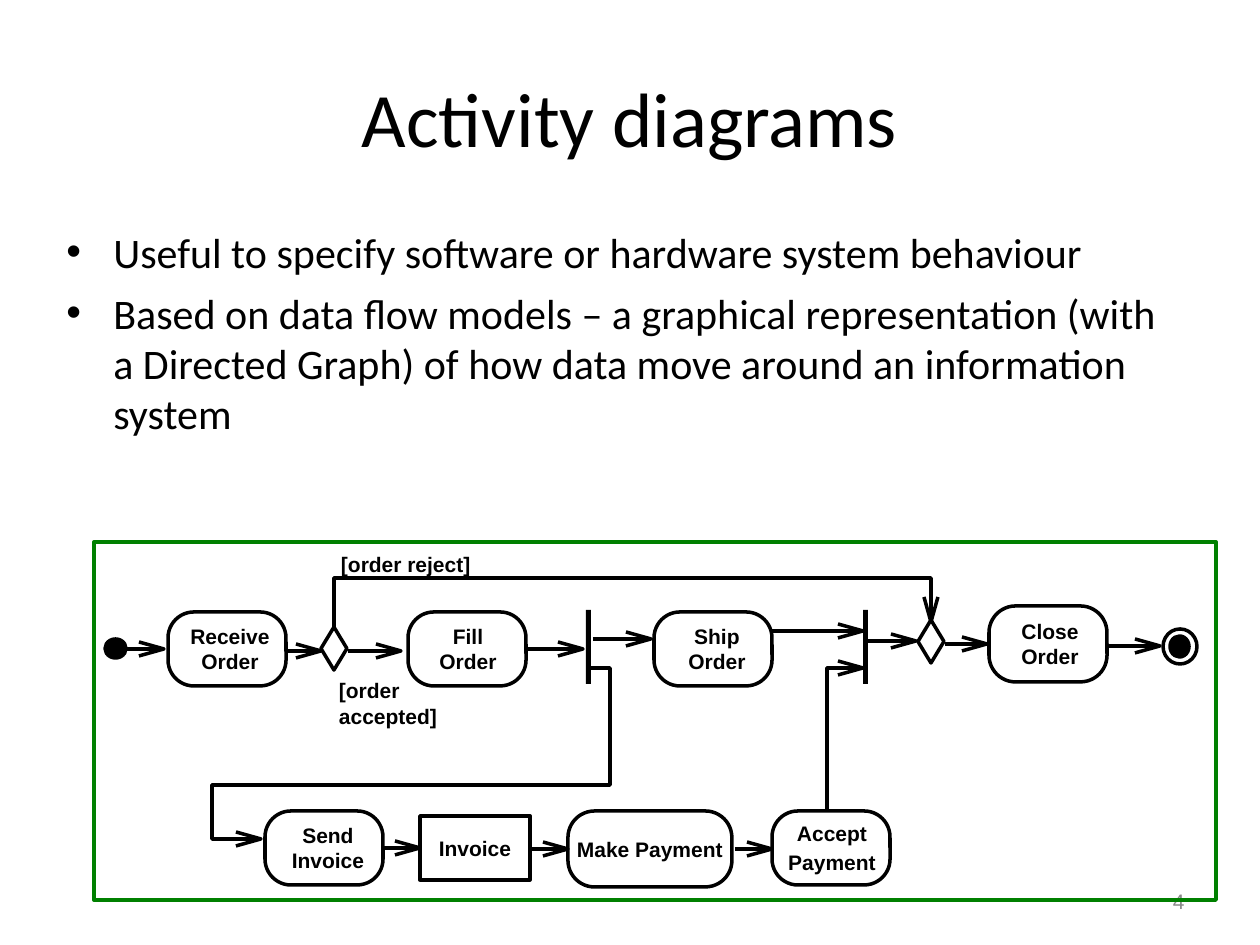
import pptx
import pptx.dml.color
import pptx.enum.shapes
import pptx.enum.text
import pptx.oxml.ns
import pptx.util
import lxml.etree

SCALE = 914400 / 126
SHAPE = pptx.enum.shapes.MSO_SHAPE
ALIGN = pptx.enum.text.PP_ALIGN
ANCHOR = pptx.enum.text.MSO_ANCHOR
BLACK, GREEN, GREY = "000000", "008000", "898989"
LINE_WIDTH = 2
HEAD_LENGTH, HEAD_HALF = 25, 7

LABEL = {"size": pptx.util.Pt(12), "name": "Arial", "bold": True}
TITLE = {"size": pptx.util.Pt(44), "name": "Calibri"}
BODY = {"size": pptx.util.Pt(24), "name": "Calibri"}
NUMBER = {"size": pptx.util.Pt(12), "name": "Arial"}

ACTIVITIES = [
    (SHAPE.ROUNDED_RECTANGLE, (74, 70, 118, 74), ["Receive", "Order"], 3, 0),
    (SHAPE.ROUNDED_RECTANGLE, (314, 70, 118, 74), ["Fill", "Order"], 1, 0),
    (SHAPE.ROUNDED_RECTANGLE, (560, 70, 118, 74), ["Ship", "Order"], 4, 0),
    (SHAPE.ROUNDED_RECTANGLE, (895, 64, 118, 76), ["Close", "Order"], 2, 0),
    (SHAPE.ROUNDED_RECTANGLE, (171, 269, 118, 74), ["Send", "Invoice"], 4, 0),
    (SHAPE.RECTANGLE, (326, 274, 110, 64), ["Invoice"], 0, 0),
    (SHAPE.ROUNDED_RECTANGLE, (474, 269, 164, 76), ["Make Payment"], 0, 0),
    (SHAPE.ROUNDED_RECTANGLE, (678, 269, 118, 74), ["Accept", "Payment"], 1, 2),
]
DECISIONS = [(227, 85, 26, 43), (824, 78, 26, 43)]
BARS = [(492, 68, 5, 74), (769, 68, 5, 74)]
GUARDS = [((247, 10, 130, 25), ["[order reject]"]),
          ((245, 136, 100, 50), ["[order", "accepted]"])]
STRAIGHT_FLOWS = [
    (31, 70, 107), (191, 227, 109), (254, 307, 109), (431, 489, 107),
    (499, 557, 97), (677, 769, 89), (774, 822, 99), (851, 893, 102),
    (1015, 1066, 104), (289, 326, 306), (438, 474, 307), (641, 678, 307),
]
BENT_FLOWS = [
    [(240, 89), (240, 36), (837, 36), (837, 80)],
    [(733, 268), (733, 126), (769, 126)],
    [(497, 126), (516, 126), (516, 243), (118, 243), (118, 297), (167, 297)],
]


def emu(*lengths):
    """Turn pixels into EMU."""
    return [pptx.util.Emu(round(length * SCALE)) for length in lengths]


def color(value):
    """Return the colour of a hex string."""
    return pptx.dml.color.RGBColor.from_string(value)


def apply(target, values):
    """Set each named attribute on the target."""
    for key, value in values.items():
        setattr(target, key, value)


def write(frame, lines, font, hue=BLACK, frame_format=None, paragraph_format=None):
    """Write one paragraph per line."""
    apply(frame, frame_format or {})
    for index, line in enumerate(lines):
        paragraph = frame.add_paragraph() if index else frame.paragraphs[0]
        apply(paragraph, paragraph_format or {})
        run = paragraph.add_run()
        run.text = line
        apply(run.font, font)
        run.font.color.rgb = color(hue)


def style(shape, fill=None, line=BLACK, width=LINE_WIDTH):
    """Give a shape its fill and outline."""
    shape.shadow.inherit = False
    if fill:
        shape.fill.solid()
        shape.fill.fore_color.rgb = color(fill)
    else:
        shape.fill.background()
    if line:
        shape.line.color.rgb = color(line)
        shape.line.width = pptx.util.Pt(width)
    else:
        shape.line.fill.background()
    return shape


def place(slide, kind, origin, box, **look):
    """Add a styled preset shape relative to an origin."""
    left, top, width, height = box
    bounds = emu(origin[0] + left, origin[1] + top, width, height)
    return style(slide.shapes.add_shape(kind, *bounds), **look)


def polyline(slide, origin, points):
    """Draw an open outline through the points."""
    moved = [(origin[0] + x, origin[1] + y) for x, y in points]
    builder = slide.shapes.build_freeform(*moved[0], scale=SCALE)
    builder.add_line_segments(moved[1:], close=False)
    style(builder.convert_to_shape())


def flow(slide, origin, points):
    """Draw a control flow that ends in an open arrowhead."""
    if len(points) == 2:
        ends = [origin[axis] + point[axis] for point in points for axis in (0, 1)]
        shaft = slide.shapes.add_connector(
            pptx.enum.shapes.MSO_CONNECTOR.STRAIGHT, *emu(*ends))
        shaft.line.color.rgb = color(BLACK)
        shaft.line.width = pptx.util.Pt(LINE_WIDTH)
        lxml.etree.SubElement(shaft._element.spPr, pptx.oxml.ns.qn("a:effectLst"))
    else:
        polyline(slide, origin, points)
    (before_x, before_y), (x, y) = points[-2:]
    if before_x == x:
        back = y - HEAD_LENGTH
        head = [(x - HEAD_HALF, back), (x, y), (x + HEAD_HALF, back)]
    else:
        back = x - HEAD_LENGTH
        head = [(back, y - HEAD_HALF), (x, y), (back, y + HEAD_HALF)]
    polyline(slide, origin, head)


def add_title(slide, box, text):
    """Place the slide title."""
    frame = slide.shapes.add_textbox(*emu(*box)).text_frame
    write(frame, [text], TITLE,
          frame_format={"word_wrap": True, "vertical_anchor": ANCHOR.MIDDLE},
          paragraph_format={"alignment": ALIGN.CENTER})


def add_bullets(slide, box, lines):
    """Place the bulleted statements."""
    frame = slide.shapes.add_textbox(*emu(*box)).text_frame
    write(frame, lines, BODY, frame_format={"word_wrap": True},
          paragraph_format={"space_before": pptx.util.Pt(6)})
    indent = emu(47)[0]
    for paragraph in frame.paragraphs:
        properties = paragraph._p.get_or_add_pPr()
        properties.set("marL", str(indent))
        properties.set("indent", str(-indent))
        font = lxml.etree.SubElement(properties, pptx.oxml.ns.qn("a:buFont"))
        font.set("typeface", "Arial")
        bullet = lxml.etree.SubElement(properties, pptx.oxml.ns.qn("a:buChar"))
        bullet.set("char", "•")


def add_number(slide, box, text):
    """Place the slide number."""
    frame = slide.shapes.add_textbox(*emu(*box)).text_frame
    write(frame, [text], NUMBER, GREY,
          {"word_wrap": True, "vertical_anchor": ANCHOR.MIDDLE},
          {"alignment": ALIGN.RIGHT})


def add_diagram(slide, box):
    """Place the activity diagram in its frame."""
    origin = box[:2]
    tight = dict.fromkeys(
        ("margin_left", "margin_top", "margin_right", "margin_bottom"), 0)
    for x, end, y in STRAIGHT_FLOWS:
        flow(slide, origin, [(x, y), (end, y)])
    for points in BENT_FLOWS:
        flow(slide, origin, points)
    for bar in BARS:
        place(slide, SHAPE.RECTANGLE, origin, bar, fill=BLACK, line=None)
    for decision in DECISIONS:
        place(slide, SHAPE.DIAMOND, origin, decision)
    for spot in ((11, 97, 21, 19), (1076, 94, 19, 21)):
        place(slide, SHAPE.OVAL, origin, spot, fill=BLACK)
    place(slide, SHAPE.OVAL, origin, (1069, 87, 34, 35))
    for kind, bounds, lines, shift, gap in ACTIVITIES:
        activity = place(slide, kind, origin, bounds)
        if kind == SHAPE.ROUNDED_RECTANGLE:
            activity.adjustments[0] = 0.35
        write(activity.text_frame, lines, LABEL,
              frame_format={**tight, "margin_left": emu(2 * shift)[0],
                            "word_wrap": False, "vertical_anchor": ANCHOR.MIDDLE},
              paragraph_format={"alignment": ALIGN.CENTER,
                                "space_after": pptx.util.Pt(gap)})
    for (left, top, width, height), lines in GUARDS:
        bounds = emu(origin[0] + left, origin[1] + top, width, height)
        guard = slide.shapes.add_textbox(*bounds)
        write(guard.text_frame, lines, LABEL,
              frame_format={**tight, "word_wrap": False})
    place(slide, SHAPE.RECTANGLE, (0, 0), box, line=GREEN, width=2.25)


presentation = pptx.Presentation()
presentation.slide_width, presentation.slide_height = emu(1260, 945)
activity_slide = presentation.slides.add_slide(presentation.slide_layouts[6])
add_title(activity_slide, (63, 38, 1134, 158), "Activity diagrams")
add_bullets(activity_slide, (54, 220, 1134, 378), [
    "Useful to specify software or hardware system behaviour",
    "Based on data flow models – a graphical representation (with a Directed "
    "Graph) of how data move around an information system",
])
add_number(activity_slide, (903, 876, 294, 50), "4")
add_diagram(activity_slide, (94, 542, 1122, 358))
presentation.save("out.pptx")
